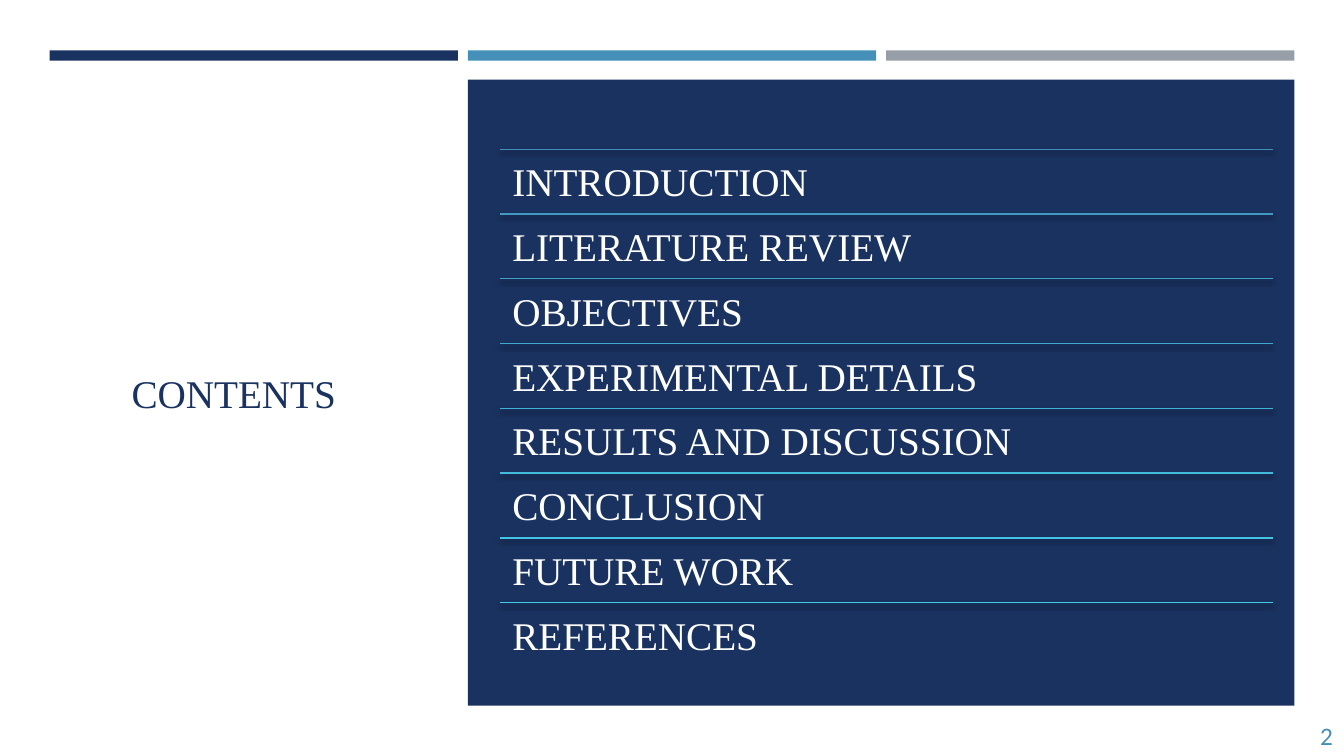
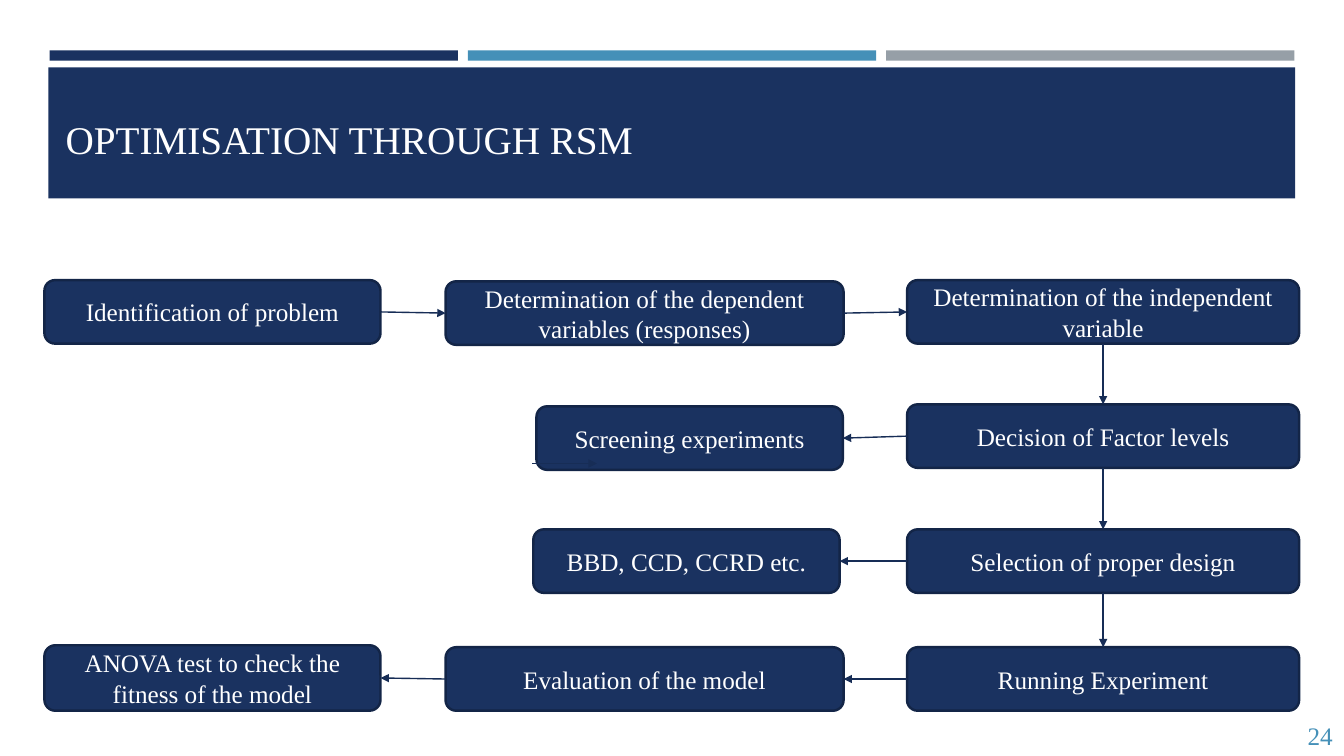
import pptx
import pptx.util
import pptx.dml.color
import pptx.enum.shapes
import pptx.enum.text
from lxml import etree

Cm, Pt = pptx.util.Cm, pptx.util.Pt
SHAPE = pptx.enum.shapes.MSO_SHAPE
STRAIGHT = pptx.enum.shapes.MSO_CONNECTOR.STRAIGHT
ALIGN = pptx.enum.text.PP_ALIGN
ANCHOR = pptx.enum.text.MSO_ANCHOR
A = "http://schemas.openxmlformats.org/drawingml/2006/main"

NAVY, BLUE, GREY, WHITE = "1A3260", "4590B8", "969FA7", "FFFFFF"
BOX_EDGE, ARROW = "132547", "172D56"
SERIF, SANS = "Times New Roman", "Calibri"
HEAD_PT, BODY_PT = 28, 18

# Left, top, width and height in cm
LEFT, GAP, BAND_W = 1.25, 0.25, 10.29
CONTENTS_TITLE = (1.65, 3.35, 8.48, 13.08)
CONTENTS_PANEL = (LEFT + BAND_W + GAP, 2.01, 20.83, 15.77)
HEADER = (1.22, 1.7, 31.42, 3.3)
FLOW_AREA = (1.12, 7.06, 31.62, 10.85)

CONTENTS = [
    ("INTRODUCTION", "4590B8"),
    ("LITERATURE REVIEW", "4398C1"),
    ("OBJECTIVES", "43A0C8"),
    ("EXPERIMENTAL DETAILS", "43A8CF"),
    ("RESULTS AND DISCUSSION", "43B1D6"),
    ("CONCLUSION", "43B9DC"),
    ("FUTURE WORK", "44C2E2"),
    ("REFERENCES", "45CBE8"),
]

# Text, then left, top, width and height within the flow area
COL_MID, COL_RIGHT = 10.11, 21.74
W_LEFT, W_MID, W_RIGHT, W_SIDE = 8.47, 10.03, 9.88, 7.72
ROWS, BOX_H = (0, 3.13, 6.28, 9.25), 1.6
STEPS = {
    "problem": ("Identification of problem", 0, ROWS[0], W_LEFT, BOX_H),
    "responses": ("Determination of the dependent variables (responses)",
                  COL_MID, 0.03, W_MID, BOX_H),
    "variable": ("Determination of the independent variable",
                 COL_RIGHT, ROWS[0], W_RIGHT, BOX_H),
    "levels": ("Decision of Factor levels",
               COL_RIGHT, ROWS[1], W_RIGHT, BOX_H),
    "screening": ("Screening experiments", 12.4, 3.18, W_SIDE, BOX_H),
    "design": ("Selection of proper design",
               COL_RIGHT, ROWS[2], W_RIGHT, BOX_H),
    "designs": ("BBD, CCD, CCRD etc.", 12.32, ROWS[2], W_SIDE, BOX_H),
    "running": ("Running Experiment", COL_RIGHT, ROWS[3], W_RIGHT, BOX_H),
    "evaluation": ("Evaluation of the model",
                   COL_MID, ROWS[3], W_MID, BOX_H),
    "anova": ("ANOVA test to check the fitness of the model",
              0, 9.2, W_LEFT, 1.65),
}
# Connection sites of a box
TOP, WEST, BOTTOM, EAST = range(4)
LINKS = [
    ("problem", EAST, "responses", WEST),
    ("responses", EAST, "variable", WEST),
    ("variable", BOTTOM, "levels", TOP),
    ("levels", WEST, "screening", EAST),
    ("levels", BOTTOM, "design", TOP),
    ("design", WEST, "designs", EAST),
    ("design", BOTTOM, "running", TOP),
    ("running", WEST, "evaluation", EAST),
    ("evaluation", WEST, "anova", EAST),
]


def rgb(color):
    return pptx.dml.color.RGBColor.from_string(color)


def lengths(box):
    return [Cm(v) for v in box]


def format_text(tf, size, color, font=SERIF, align=ALIGN.LEFT,
                anchor=ANCHOR.MIDDLE):
    tf.word_wrap = True
    tf.auto_size = pptx.enum.text.MSO_AUTO_SIZE.NONE
    tf.vertical_anchor = anchor
    for p in tf.paragraphs:
        p.alignment = align
        for r in p.runs:
            r.font.name, r.font.size = font, Pt(size)
            r.font.color.rgb = rgb(color)


def add_panel(slide, box, color, shape=SHAPE.RECTANGLE, edge=None):
    sp = slide.shapes.add_shape(shape, *lengths(box))
    sp.shadow.inherit = False
    sp.fill.solid()
    sp.fill.fore_color.rgb = rgb(color)
    if edge:
        sp.line.color.rgb = rgb(edge)
        sp.line.width = Pt(1.75)
    else:
        sp.line.fill.background()
    return sp


def add_line(slide, ends, color, arrow=False, shadow=False):
    line = slide.shapes.add_connector(STRAIGHT, *lengths(ends))
    line.line.color.rgb = rgb(color)
    line.line.width = Pt(1)
    if arrow:
        etree.SubElement(line.line._get_or_add_ln(), f"{{{A}}}tailEnd",
                         type="triangle")
    effects = etree.SubElement(line._element.spPr, f"{{{A}}}effectLst")
    if shadow:
        outer = etree.SubElement(effects, f"{{{A}}}outerShdw",
                                 blurRad=str(Pt(3)), dist=str(Pt(2)),
                                 dir="5400000", rotWithShape="0")
        black = etree.SubElement(outer, f"{{{A}}}srgbClr", val="000000")
        etree.SubElement(black, f"{{{A}}}alpha", val="55000")
    return line


def move(sp, box):
    sp.left, sp.top, sp.width, sp.height = lengths(box)


def add_title(slide, text, box, color, **style):
    """Fill the title placeholder and bring it in front of the panels."""
    sp = slide.shapes.title
    move(sp, box)
    sp.text_frame.text = text
    format_text(sp.text_frame, HEAD_PT, color, **style)
    slide.shapes._spTree.append(sp._element)


def add_frame(slide, number, font):
    """Draw what every slide has: three bands and the page number."""
    for i, color in enumerate((NAVY, BLUE, GREY)):
        left = LEFT + i * (BAND_W + GAP)
        add_panel(slide, (left, 1.27, BAND_W, 0.26), color)
    sp = slide.shapes.add_textbox(*lengths((30.92, 18.02, 2.92, 1.02)))
    sp.text_frame.text = number
    format_text(sp.text_frame, BODY_PT, BLUE, font, ALIGN.RIGHT)


def add_ruled_list(slide, sp, items, box):
    """Set the list in placeholder sp, with a rule above each row."""
    left, top, width, height = box
    row = height / len(items)
    for i, (_, color) in enumerate(items):
        y = top + i * row
        add_line(slide, (left, y, left + width, y), color, shadow=True)
    move(sp, (left, top - 0.24, width, height))
    tf = sp.text_frame
    tf.margin_left = tf.margin_right = Cm(0.31)
    tf.margin_top = tf.margin_bottom = 0
    tf.text = "\n".join(text for text, _ in items)
    for p in tf.paragraphs:
        pPr = p._p.get_or_add_pPr()
        pPr.set("marL", "0")
        pPr.set("indent", "0")
        etree.SubElement(pPr, f"{{{A}}}buNone")
        p.space_before = p.space_after = Pt(0)
        p.line_spacing = Pt(round(Cm(row).pt, 1))
    format_text(tf, HEAD_PT, WHITE, anchor=ANCHOR.TOP)
    slide.shapes._spTree.append(sp._element)


def add_flow(slide, box):
    x, y = box[:2]
    boxes = {}
    for key, (text, left, top, width, height) in STEPS.items():
        sp = add_panel(slide, (x + left, y + top, width, height), NAVY,
                       SHAPE.ROUNDED_RECTANGLE, BOX_EDGE)
        sp.text_frame.text = text
        format_text(sp.text_frame, BODY_PT, WHITE, align=ALIGN.CENTER)
        boxes[key] = sp
    for start, start_site, end, end_site in LINKS:
        line = add_line(slide, (0, 0, 1, 1), ARROW, arrow=True)
        line.begin_connect(boxes[start], start_site)
        line.end_connect(boxes[end], end_site)
    add_line(slide, (x + 12.29, y + 4.62, x + 13.92, y + 4.62), ARROW,
             arrow=True)


def contents_slide(prs):
    slide = prs.slides.add_slide(prs.slide_layouts[1])
    add_frame(slide, "2", SANS)
    left, top, width, height = CONTENTS_PANEL
    add_panel(slide, CONTENTS_PANEL, NAVY)
    add_title(slide, "CONTENTS", CONTENTS_TITLE, NAVY, align=ALIGN.CENTER)
    add_ruled_list(slide, slide.placeholders[1], CONTENTS,
                   (left + 0.81, top + 1.75, width - 1.35, height - 2.71))


def flow_slide(prs):
    slide = prs.slides.add_slide(prs.slide_layouts[5])
    add_frame(slide, "24", SERIF)
    left, top, width, _ = HEADER
    add_panel(slide, HEADER, NAVY)
    add_title(slide, "OPTIMISATION THROUGH RSM",
              (left + 0.18, top - 0.3, width - 0.79, 2.82), WHITE,
              anchor=ANCHOR.BOTTOM)
    add_flow(slide, FLOW_AREA)


def main():
    prs = pptx.Presentation()
    prs.slide_width, prs.slide_height = Cm(33.87), Cm(19.05)
    contents_slide(prs)
    flow_slide(prs)
    prs.save("out.pptx")


if __name__ == "__main__":
    main()
